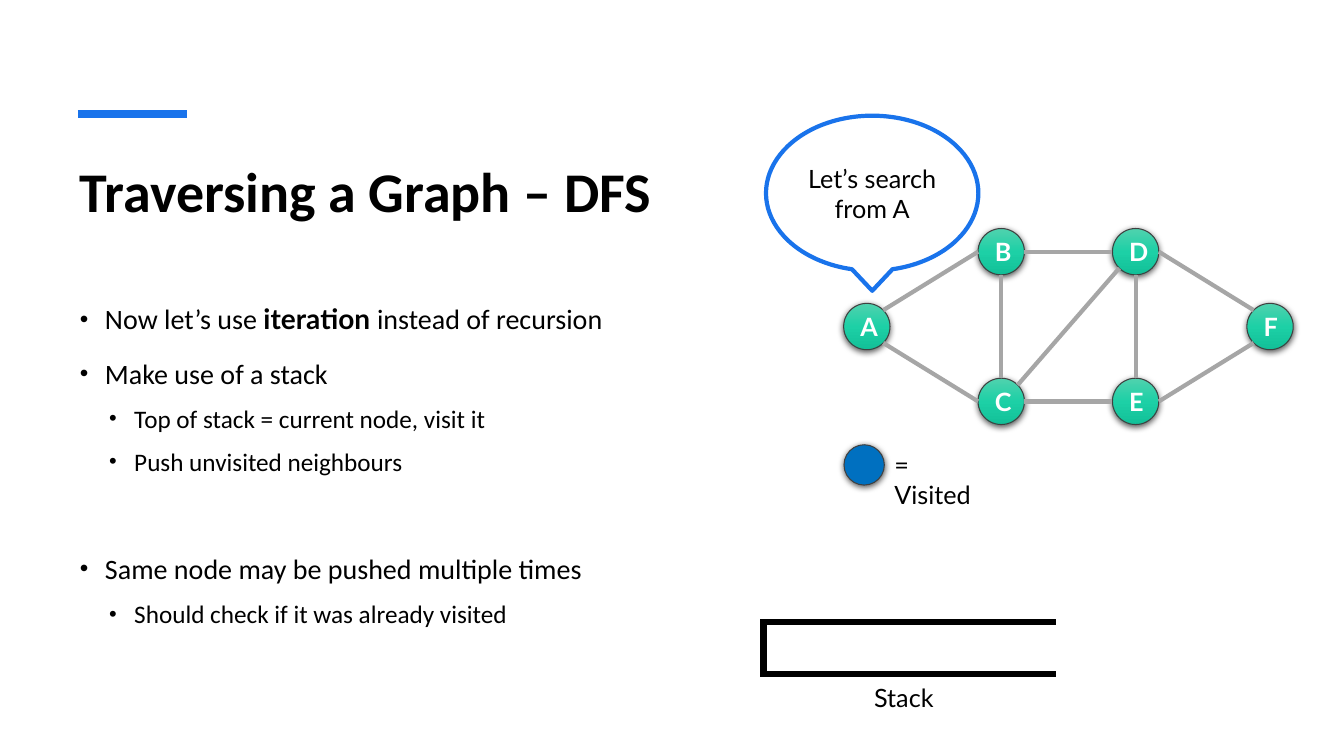
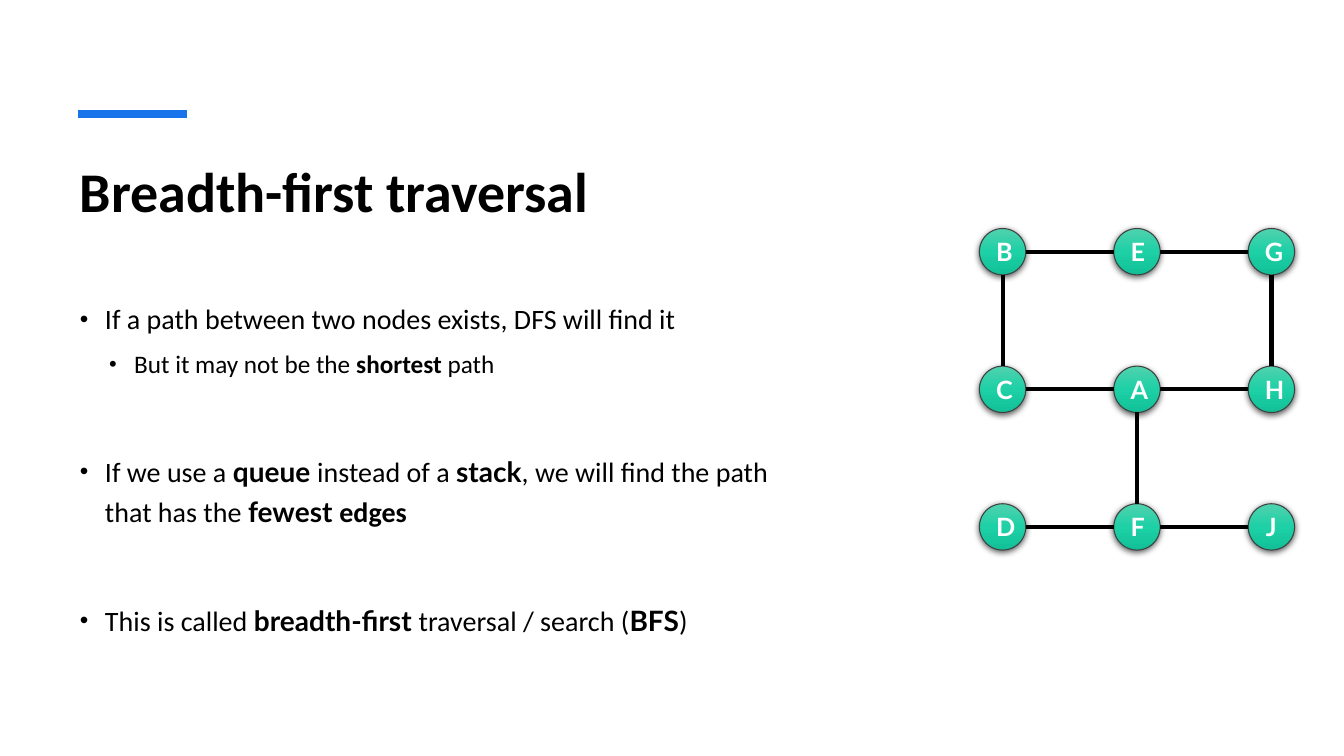
from dataclasses import dataclass
from math import cos, pi, sin

from lxml.etree import SubElement
from pptx import Presentation
from pptx.dml.color import RGBColor
from pptx.enum.shapes import MSO_CONNECTOR, MSO_SHAPE
from pptx.enum.text import MSO_ANCHOR, MSO_AUTO_SIZE, PP_ALIGN
from pptx.oxml.ns import qn
from pptx.util import Inches, Pt


@dataclass(frozen=True)
class Theme:
    """Colours, fonts and type sizes."""
    ink: str = "000000"
    accent: str = "1973EB"
    edge: str = "A6A6A6"
    outline: str = "404040"
    visited: str = "0070C0"
    node_text: str = "FFFFFF"
    node_stops: tuple = ((0, "50D2AE"), (50, "1DD0A6"), (100, "12C098"))
    body_font: str = "Calibri"
    label_font: str = "Lato"
    title_size: int = 40
    label_size: int = 18
    # Per list level: type size, left margin (inches), space before (points)
    levels: tuple = ((20, 0.25, 10), (18, 0.54, 5))
    group_gap: int = 49


T = Theme()
SITES = "N NW W SW S SE E NE".split()  # connection sites of an ellipse
NODE = Inches(0.46)


def add(parent, tag, **attrs):
    return SubElement(parent, qn(tag), {k: str(v) for k, v in attrs.items()})


def write(p, text, size=T.label_size, font=T.label_font, color=T.ink,
          bold=False, align=None):
    """Append a formatted run to a paragraph."""
    r = p.add_run()
    r.text = text
    r.font.size, r.font.name, r.font.bold = Pt(size), font, bold
    r.font.color.rgb = RGBColor.from_string(color)
    if align is not None:
        p.alignment = align


def strong(text, font=T.label_font):
    return text, font


class Deck:
    """Slides laid out on a grid of 10 columns by 10 rows."""

    def __init__(self):
        self.prs = Presentation()
        self.prs.slide_width, self.prs.slide_height = Inches(13.33), Inches(7.5)
        self.slide = None

    def x(self, cols):
        return round(self.prs.slide_width * cols / 10)

    def y(self, rows):
        return round(self.prs.slide_height * rows / 10)

    def box(self, col, row, cols, rows):
        return self.x(col), self.y(row), self.x(cols), self.y(rows)

    def new_slide(self, title):
        self.slide = self.prs.slides.add_slide(self.prs.slide_layouts[5])
        self.line((0.58, 1.51), (1.39, 1.51), T.accent, 6)
        sp = self.slide.shapes.title
        sp.left, sp.top, sp.width, sp.height = self.box(0.52, 2, 8.94, 1.6)
        tf = sp.text_frame
        tf.vertical_anchor = MSO_ANCHOR.TOP
        tf.auto_size = MSO_AUTO_SIZE.NONE
        write(tf.paragraphs[0], title, size=T.title_size, font=T.body_font,
              bold=True, align=PP_ALIGN.LEFT)

    def bullets(self, place, items):
        """Items are (level, starts a new group, runs)."""
        tf = self.slide.shapes.add_textbox(*self.box(*place)).text_frame
        tf.word_wrap = True
        for i, (level, new_group, runs) in enumerate(items):
            p = tf.add_paragraph() if i else tf.paragraphs[0]
            size, margin, space = T.levels[level]
            p.level, p.line_spacing = level, 1.2
            p.space_before = Pt(T.group_gap if new_group else space)
            pPr = p._p.get_or_add_pPr()
            pPr.set("marL", str(Inches(margin)))
            pPr.set("indent", str(-Inches(0.25)))
            add(pPr, "a:buSzPct", val=87000)
            add(pPr, "a:buFont", typeface="Arial")
            add(pPr, "a:buChar", char="•")
            for run in runs:
                bold = isinstance(run, tuple)
                text, font = run if bold else (run, T.body_font)
                write(p, text, size=size, font=font, bold=bold)

    def label(self, place, text):
        tf = self.slide.shapes.add_textbox(*self.box(*place)).text_frame
        tf.word_wrap = True
        write(tf.paragraphs[0], text)

    def connector(self, start, end, color, width):
        """Straight line between two points in EMU."""
        ln = self.slide.shapes.add_connector(MSO_CONNECTOR.STRAIGHT, *start, *end)
        ln.line.color.rgb = RGBColor.from_string(color)
        ln.line.width = Pt(width)
        add(ln._element.spPr, "a:effectLst")
        return ln

    def line(self, start, end, color, width):
        """Straight line between two grid points."""
        ends = [(self.x(col), self.y(row)) for col, row in (start, end)]
        return self.connector(*ends, color, width)

    def disc(self, col, row, size, color=None):
        """Shaded circle centred on a grid point; a gradient unless coloured."""
        sp = self.slide.shapes.add_shape(
            MSO_SHAPE.OVAL, self.x(col) - size // 2, self.y(row) - size // 2,
            size, size)
        spPr = sp._element.spPr
        if color:
            sp.fill.solid()
            sp.fill.fore_color.rgb = RGBColor.from_string(color)
        else:
            grad = add(spPr, "a:gradFill", rotWithShape=1)
            stops = add(grad, "a:gsLst")
            for pos, stop in T.node_stops:
                add(add(stops, "a:gs", pos=pos * 1000), "a:srgbClr", val=stop)
            add(grad, "a:lin", ang=5400000, scaled=0)
        sp.line.color.rgb = RGBColor.from_string(T.outline)
        sp.line.width = Pt(0.75)
        shadow = add(add(spPr, "a:effectLst"), "a:outerShdw", blurRad=Pt(4.5),
                     dist=Pt(1.5), dir=5400000, algn="ctr", rotWithShape=0)
        add(add(shadow, "a:srgbClr", val="000000"), "a:alpha", val=63000)
        return sp

    def graph(self, origin, step, cells, edges, color):
        """Nodes at cells of a lattice, joined by edges such as 'A.NE B.W'."""
        nodes = {}
        for name, (col, row) in cells.items():
            sp = self.disc(origin[0] + col * step[0], origin[1] + row * step[1], NODE)
            sp.text_frame.vertical_anchor = MSO_ANCHOR.MIDDLE
            write(sp.text_frame.paragraphs[0], name, color=T.node_text,
                  bold=True, align=PP_ALIGN.CENTER)
            nodes[name] = sp
        for edge in edges:
            ends = [end.split(".") for end in edge.split()]
            points = [self.site(nodes[name], side) for name, side in ends]
            ln = self.connector(*points, color, 3)
            glue = ln._element.nvCxnSpPr.cNvCxnSpPr
            for tag, (name, side) in zip(("a:stCxn", "a:endCxn"), ends):
                add(glue, tag, id=nodes[name].shape_id, idx=SITES.index(side))

    def site(self, sp, side):
        angle = pi / 2 + SITES.index(side) * pi / 4
        radius = sp.width / 2
        return (round(sp.left + radius * (1 + cos(angle))),
                round(sp.top + radius * (1 - sin(angle))))

    def callout(self, place, text):
        sp = self.slide.shapes.add_shape(MSO_SHAPE.OVAL_CALLOUT, *self.box(*place))
        sp.adjustments[0], sp.adjustments[1] = 0, 0.63
        sp.shadow.inherit = False
        sp.fill.background()
        sp.line.color.rgb = RGBColor.from_string(T.accent)
        sp.line.width = Pt(3)
        sp.text_frame.vertical_anchor = MSO_ANCHOR.MIDDLE
        write(sp.text_frame.paragraphs[0], text, align=PP_ALIGN.CENTER)

    def stack(self, left, right, top, bottom):
        """Bracket open to the right."""
        for row in (top, bottom):
            self.line((left, row), (right, row), T.ink, 4.5)
        self.line((left, top - 0.04), (left, bottom + 0.04), T.ink, 4.5)
        self.label((left + 0.75, bottom + 0.04, 0.75, 0.54), "Stack")


def dfs_slide(deck):
    deck.new_slide("Traversing a Graph – DFS")
    deck.bullets((0.52, 3.84, 4.63, 5.33), [
        (0, False, ["Now let’s use ", strong("iteration "), "instead of recursion"]),
        (0, False, ["Make use of a stack"]),
        (1, False, ["Top of stack = current node, visit it"]),
        (1, False, ["Push unvisited neighbours"]),
        (0, True, ["Same node may be pushed multiple times"]),
        (1, False, ["Should check if it was already visited"]),
    ])
    deck.graph(
        (6.45, 4.32), (1, 0.99),
        {"A": (0, 0), "B": (1, -1), "C": (1, 1),
         "D": (2, -1), "E": (2, 1), "F": (3, 0)},
        ["A.NE B.W", "A.SE C.W", "B.E D.W", "C.E E.W", "C.N B.S",
         "C.NE D.SW", "D.S E.N", "D.E F.NW", "E.E F.SW"], T.edge)
    # Legend
    deck.disc(6.43, 6.15, Inches(0.4), T.visited)
    deck.label((6.58, 5.88, 0.75, 0.94), "= Visited")
    deck.stack(5.68, 7.86, 8.23, 8.92)
    deck.callout((5.7, 1.53, 1.58, 2.05), "Let’s search from A")


def bfs_slide(deck):
    deck.new_slide("Breadth-first traversal")
    deck.bullets((0.52, 3.84, 5.33, 5.2), [
        (0, False, ["If a path between two nodes exists, DFS will find it"]),
        (1, False, ["But it may not be the ", strong("shortest ", T.body_font), "path"]),
        (0, True, ["If we use a ", strong("queue "), "instead of a ",
                   strong("stack"), ", we will find the path that has the ",
                   strong("fewest "), strong("edges", T.body_font)]),
        (0, True, ["This is called ", strong("breadth-first "),
                   "traversal / search (", strong("BFS"), ")"]),
    ])
    rows = ("BEG", "CAH", "DFJ")
    cells = {name: (col, row) for row, names in enumerate(rows)
             for col, name in enumerate(names)}
    across = [f"{a}.E {b}.W" for names in rows for a, b in zip(names, names[1:])]
    down = [f"{a}.S {b}.N" for a, b in ("BC", "GH", "AF")]
    deck.graph((7.46, 3.33), (1, 1.82), cells, across + down, T.ink)


def main():
    deck = Deck()
    dfs_slide(deck)
    bfs_slide(deck)
    deck.prs.save("out.pptx")


if __name__ == "__main__":
    main()
